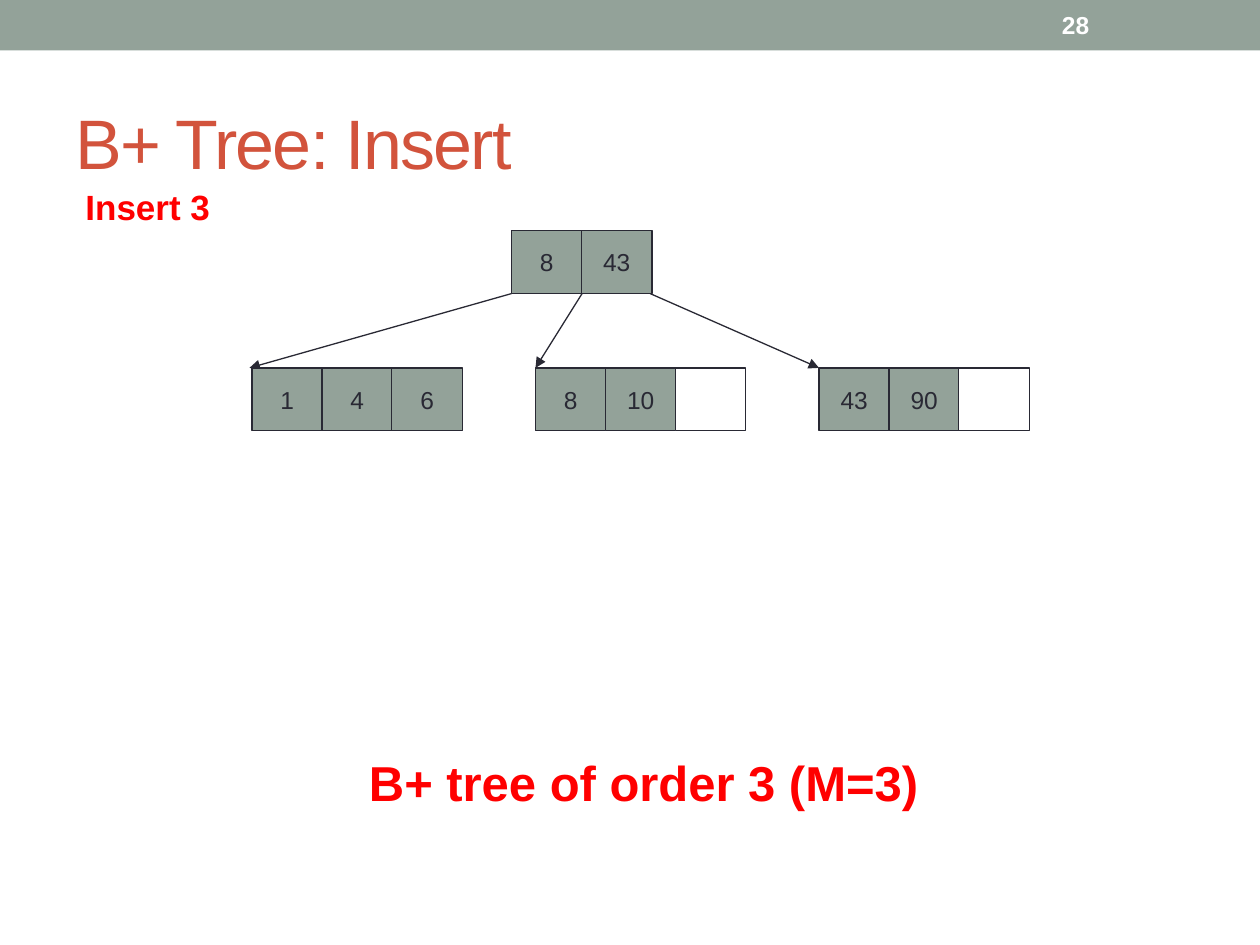
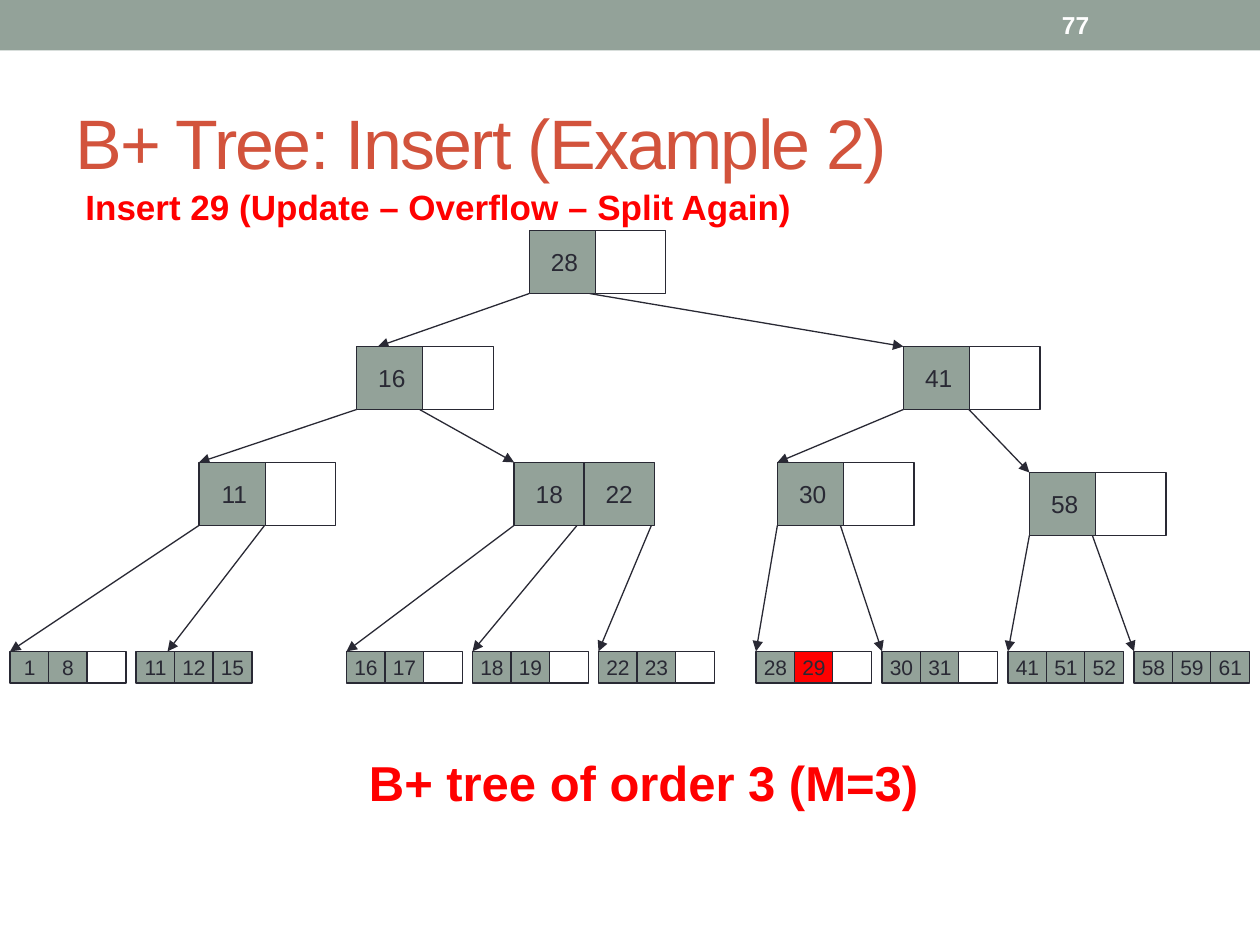
from lxml import etree
from pptx import Presentation
from pptx.dml.color import RGBColor
from pptx.enum.shapes import MSO_CONNECTOR, MSO_SHAPE
from pptx.enum.text import MSO_ANCHOR, MSO_AUTO_SIZE, PP_ALIGN
from pptx.oxml.ns import qn
from pptx.util import Inches, Pt

FONT = "Arial"
SAGE, INK, RUST, RED, WHITE = "93A299", "292934", "D2533C", "FF0000", "FFFFFF"
NODE_CELL = (0.56, 0.5, 14)  # width, height, text size
LEAF_CELL = (0.31, 0.25, 12)
FULL_STEP, HALF_STEP, LEAF_STEP = 0.555, 0.525, 0.305
ROOT_Y = 1.83

# Each parent: left, top, keys, then arrows as (start offset, end x, end y).
FIRST_ROOT = (4.06, ROOT_Y, (8, 43),
              [(0, 1.98, 2.92), (0.56, 4.25, 2.92), (1.1, 6.5, 2.92)])
FIRST_LEAVES = [(1, 4, 6), (8, 10, None), (43, 90, None)]

LEAF_Y = 5.17
SECOND_PARENTS = [
    (4.2, ROOT_Y, (28, None), [(0, 3, 2.75), (0.48, 7.17, 2.75)]),
    (2.83, 2.75, (16, None), [(0, 1.58, 3.67), (0.5, 4.08, 3.67)]),
    (7.17, 2.75, (41, None), [(0, 6.17, 3.67), (0.52, 8.17, 3.75)]),
    (1.58, 3.67, (11, None), [(0, 0.08, LEAF_Y), (0.52, 1.33, LEAF_Y)]),
    (4.08, 3.67, (18, 22),
     [(0, 2.75, LEAF_Y), (0.5, 3.75, LEAF_Y), (1.09, 4.75, LEAF_Y)]),
    (6.17, 3.67, (30, None), [(0, 6, LEAF_Y), (0.5, 7, LEAF_Y)]),
    (8.17, 3.75, (58, None), [(0, 8, LEAF_Y), (0.5, 9, LEAF_Y)]),
]
# Leaves under one parent stand one inch apart from the given left edge.
SECOND_LEAVES = [
    (0.08, [(1, 8, None), (11, 12, 15)]),
    (2.75, [(16, 17, None), (18, 19, None), (22, 23, None)]),
    (6, [(28, 29, None), (30, 31, None)]),
    (8, [(41, 51, 52), (58, 59, 61)]),
]


def rgb(color):
    return RGBColor.from_string(color)


def add_run(p, text, size, color, bold=False):
    r = p.add_run()
    r.text = text
    r.font.name, r.font.size, r.font.bold = FONT, Pt(size), bold
    r.font.color.rgb = rgb(color)
    return r


def add_label(s, box, text, size, color, bold=True, wrap=True, anchor=MSO_ANCHOR.MIDDLE):
    tf = s.shapes.add_textbox(*map(Inches, box)).text_frame
    tf.word_wrap = wrap
    tf.auto_size = MSO_AUTO_SIZE.NONE if wrap else MSO_AUTO_SIZE.SHAPE_TO_FIT_TEXT
    tf.vertical_anchor = anchor
    return add_run(tf.paragraphs[0], text, size, color, bold)


def add_rect(shapes, box, fill, line=None):
    sp = shapes.add_shape(MSO_SHAPE.RECTANGLE, *map(Inches, box))
    sp.shadow.inherit = False
    sp.fill.solid()
    sp.fill.fore_color.rgb = rgb(fill)
    if line:
        sp.line.color.rgb = rgb(line)
        sp.line.width = Pt(0.75)
    else:
        sp.line.fill.background()
    return sp


def add_node(s, x, y, keys, step, cell=NODE_CELL, inserted=None):
    """Draw a row of key cells; None is an empty cell."""
    width, height, size = cell
    node = s.shapes.add_group_shape()
    for i, key in enumerate(keys):
        fill = WHITE if key is None else RED if key == inserted else SAGE
        sp = add_rect(node.shapes, (x + i * step, y, width, height), fill, INK)
        if key is not None:
            tf = sp.text_frame
            tf.word_wrap = False
            tf.vertical_anchor = MSO_ANCHOR.MIDDLE
            p = tf.paragraphs[0]
            p.alignment = PP_ALIGN.CENTER
            add_run(p, str(key), size, INK)


def add_arrow(s, x1, y1, x2, y2):
    c = s.shapes.add_connector(MSO_CONNECTOR.STRAIGHT, *map(Inches, (x1, y1, x2, y2)))
    c.line.color.rgb = rgb(INK)
    c.line.width = Pt(0.75)
    etree.SubElement(c.line._get_or_add_ln(), qn("a:tailEnd"), type="triangle")
    etree.SubElement(c._element.spPr, qn("a:effectLst"))


def add_parents(s, parents):
    for x, y, keys, arrows in parents:
        for dx, end_x, end_y in arrows:
            add_arrow(s, x + dx, y + NODE_CELL[1], end_x, end_y)
    for x, y, keys, arrows in parents:
        add_node(s, x, y, keys, HALF_STEP if None in keys else FULL_STEP)


def add_tree_slide(prs, number, title, step_text, step_width):
    s = prs.slides.add_slide(prs.slide_layouts[6])
    add_rect(s.shapes, (0, 0, 10, 0.4), SAGE)
    r = add_label(s, (0.5, 0.58, 9, 1.08), title, 40, RUST, bold=False)
    r._r.get_or_add_rPr().set("spc", "-100")
    add_label(s, (8.33, 0.02, 1.17, 0.36), str(number), 14, WHITE)
    add_label(s, (2.83, 5.92, 4.93, 0.57), "B+ tree of order 3 (M=3)", 28, RED,
              wrap=False, anchor=MSO_ANCHOR.TOP)
    add_label(s, (0.58, 1.42, step_width, 0.44), step_text, 20, RED,
              wrap=False, anchor=MSO_ANCHOR.TOP)
    return s


def main():
    prs = Presentation()
    prs.slide_width, prs.slide_height = Inches(10), Inches(7.5)

    s = add_tree_slide(prs, 28, "B+ Tree: Insert", "Insert 3", 1.24)
    add_parents(s, [FIRST_ROOT])
    for i, keys in enumerate(FIRST_LEAVES):
        add_node(s, 2 + i * 2.25, 2.92, keys, FULL_STEP)

    s = add_tree_slide(prs, 77, "B+ Tree: Insert (Example 2)",
                       "Insert 29 (Update – Overflow – Split Again)", 5.96)
    add_parents(s, SECOND_PARENTS)
    for left, leaves in SECOND_LEAVES:
        for i, keys in enumerate(leaves):
            add_node(s, left + i, LEAF_Y, keys, LEAF_STEP, LEAF_CELL, inserted=29)

    prs.save("out.pptx")


if __name__ == "__main__":
    main()
